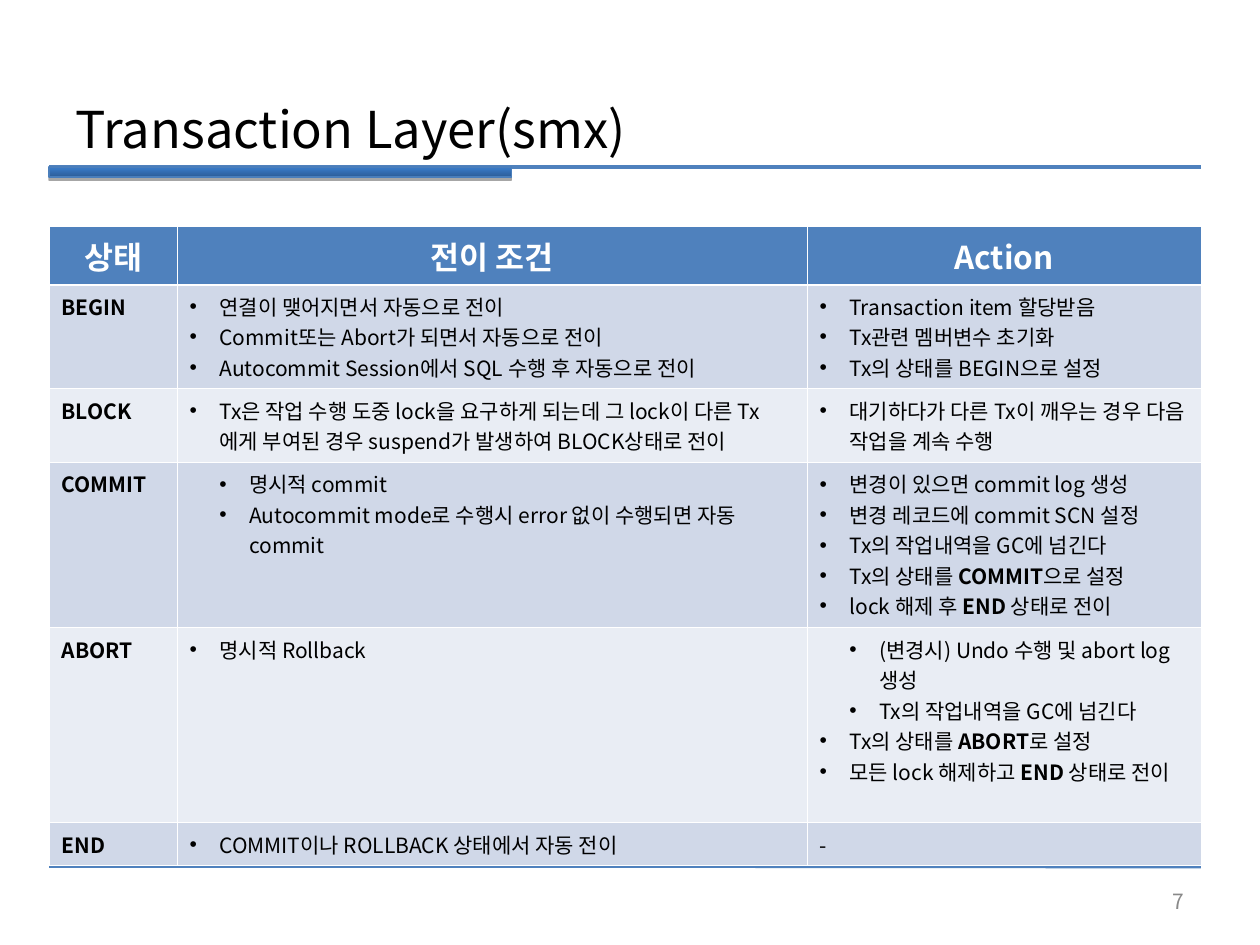
from collections import namedtuple
from dataclasses import dataclass

from lxml import etree
from pptx import Presentation
from pptx import util as u
from pptx.dml.color import RGBColor
from pptx.enum import shapes, text
from pptx.oxml import ns

Box = namedtuple("Box", "left top width height")  # centimetres


@dataclass(frozen=True)
class Theme:
    font: str = "Noto Sans CJK KR"
    accent: str = "4F81BD"
    bar_dark: str = "2C5D98"
    bar_light: str = "3A7CCB"
    bar_edge: str = "4A7EBB"
    band_dark: str = "D0D8E8"
    band_light: str = "E9EDF4"
    ink: str = "000000"
    paper: str = "FFFFFF"
    muted: str = "898989"
    title_size: float = 29
    header_size: float = 18
    body_size: float = 12


THEME = Theme()
INDENT = 0.6  # hanging indent of one bullet level
COLUMNS = (2.58, 12.7, 7.94)
ROWS = (1.17, 2.09, 1.49, 3.33, 3.93, 0.87)
HEADERS = ("상태", "전이 조건", "Action")
# "> " opens a second-level bullet, "**" switches bold on and off
STATES = (
    ("**BEGIN**",
     ("연결이 맺어지면서 자동으로 전이",
      "Commit또는 Abort가 되면서 자동으로 전이",
      "Autocommit Session에서 SQL 수행 후 자동으로 전이"),
     ("Transaction item 할당받음", "Tx관련 멤버변수 초기화", "Tx의 상태를 BEGIN으로 설정")),
    ("**BLOCK**",
     ("Tx은 작업 수행 도중 lock을 요구하게 되는데 그 lock이 다른 "
      "Tx에게 부여된 경우 suspend가 발생하여 BLOCK상태로 전이",),
     ("대기하다가 다른 Tx이 깨우는 경우 다음 작업을 계속 수행",)),
    ("**COMMIT**",
     ("> 명시적 commit",
      "> Autocommit mode로 수행시 error 없이 수행되면 자동 commit"),
     ("변경이 있으면 commit log 생성", "변경 레코드에 commit SCN 설정",
      "Tx의 작업내역을 GC에 넘긴다", "Tx의 상태를 **COMMIT**으로 설정",
      "lock 해제 후 **END **상태로 전이")),
    ("**ABORT**",
     ("명시적 Rollback",),
     ("> (변경시) Undo 수행 및 abort log 생성", "> Tx의 작업내역을 GC에 넘긴다",
      "Tx의 상태를 **ABORT**로 설정", "모든 lock 해제하고 **END **상태로 전이")),
    ("**END**", ("COMMIT이나 ROLLBACK 상태에서 자동 전이",), "-"),
)


def rgb(value):
    return RGBColor.from_string(value)


def add_xml(parent, tag, **attributes):
    return etree.SubElement(parent, ns.qn(tag), attributes)


def place(shape, box):
    shape.left, shape.top, shape.width, shape.height = map(u.Cm, box)


def format_span(span, size, color, bold=False):
    span.font.size, span.font.bold = u.Pt(size), bold
    span.font.color.rgb = rgb(color)
    span.font.name = THEME.font
    add_xml(span.font._element, "a:ea", typeface=THEME.font)


def write(para, marked, size, color):
    """Fill a paragraph, with every second piece between ** marks in bold."""
    for index, piece in enumerate(marked.split("**")):
        if piece:
            span = para.add_run()
            span.text = piece
            format_span(span, size, color, bold=index % 2 == 1)


def add_bullet(para, level):
    props = para._p.get_or_add_pPr()
    props.set("marL", str(u.Cm(INDENT * (level + 1))))
    props.set("indent", str(-u.Cm(INDENT)))
    add_xml(add_xml(props, "a:buClr"), "a:srgbClr", val=THEME.ink)
    add_xml(props, "a:buFont", typeface="Arial")
    add_xml(props, "a:buChar", char="•")
    para.level = level


def add_rule(page, start, end):
    rule = page.shapes.add_connector(
        shapes.MSO_CONNECTOR.STRAIGHT, *map(u.Cm, start + end))
    rule.line.color.rgb = rgb(THEME.accent)
    rule.line.width = u.Pt(2)
    add_xml(rule._element.spPr, "a:effectLst")


def add_frame(page, box):
    """Rules above and below the content, with a short bar at the upper one."""
    right, bottom = box.left + box.width, box.top + box.height
    add_rule(page, (box.left, bottom), (right, bottom))
    add_rule(page, (box.left, box.top), (right, box.top))

    bar = page.shapes.add_shape(
        shapes.MSO_SHAPE.RECTANGLE,
        *map(u.Cm, (box.left, box.top, 9.32, 0.2)))
    bar.fill.gradient()
    bar.fill.gradient_angle = 90
    for stop, color in zip(bar.fill.gradient_stops, (THEME.bar_dark, THEME.bar_light)):
        stop.color.rgb = rgb(color)
    bar.line.color.rgb = rgb(THEME.bar_edge)
    bar.line.width = u.Pt(0.75)
    effects = add_xml(bar._element.spPr, "a:effectLst")
    shadow = add_xml(effects, "a:outerShdw", blurRad="0", dist=str(u.Pt(1.8)),
                     dir="5400000", rotWithShape="0")
    add_xml(add_xml(shadow, "a:srgbClr", val="000000"), "a:alpha", val="35000")

    add_rule(page, (box.left, bottom - 0.02), (right, bottom))


def add_title(page, box, wording):
    title = page.shapes.title
    place(title, box)
    frame = title.text_frame
    frame.vertical_anchor = text.MSO_ANCHOR.MIDDLE
    frame.text = wording
    para = frame.paragraphs[0]
    para.alignment = text.PP_ALIGN.LEFT
    format_span(para.runs[0], THEME.title_size, THEME.ink)


def add_page_number(page, box, number):
    frame = page.shapes.add_textbox(*map(u.Cm, box)).text_frame
    frame.word_wrap = True
    frame.vertical_anchor = text.MSO_ANCHOR.MIDDLE
    frame.paragraphs[0].alignment = text.PP_ALIGN.RIGHT
    write(frame.paragraphs[0], number, THEME.body_size, THEME.muted)


def style_cell(cell, fill, top=0.45, bottom=0.45):
    props = cell._tc.get_or_add_tcPr()
    for side, width in (("L", 0.45), ("R", 0.45), ("T", top), ("B", bottom)):
        edge = add_xml(props, f"a:ln{side}", w=str(u.Pt(width)))
        add_xml(add_xml(edge, "a:solidFill"), "a:srgbClr", val=THEME.paper)
    cell.fill.solid()
    cell.fill.fore_color.rgb = rgb(fill)


def fill_cell(cell, content):
    """A plain string is one line; a tuple is a bulleted list."""
    bulleted = isinstance(content, tuple)
    frame = cell.text_frame
    for index, line in enumerate(content if bulleted else (content,)):
        para = frame.add_paragraph() if index else frame.paragraphs[0]
        if bulleted:
            add_bullet(para, int(line.startswith("> ")))
        write(para, line.removeprefix("> "), THEME.body_size, THEME.ink)


def add_state_table(page, box):
    table = page.shapes.add_table(
        len(ROWS), len(COLUMNS), *map(u.Cm, box)).table
    table.horz_banding = False
    for column, width in zip(table.columns, COLUMNS):
        column.width = u.Cm(width)
    for row, height in zip(table.rows, ROWS):
        row.height = u.Cm(height)

    # Header row
    for cell, label in zip(table.rows[0].cells, HEADERS):
        style_cell(cell, THEME.accent, bottom=1.47)
        para = cell.text_frame.paragraphs[0]
        para.alignment = text.PP_ALIGN.CENTER
        write(para, f"**{label}**", THEME.header_size, THEME.paper)

    # One banded row for each state
    for index, state in enumerate(STATES):
        fill = THEME.band_light if index % 2 else THEME.band_dark
        for cell, content in zip(table.rows[index + 1].cells, state):
            style_cell(cell, fill, top=0.45 if index else 1.47)
            fill_cell(cell, content)


def main():
    deck = Presentation()
    deck.slide_width, deck.slide_height = u.Cm(25.4), u.Cm(19.05)
    page = deck.slides.add_slide(deck.slide_layouts.get_by_name("Title Only"))
    add_frame(page, Box(0.99, 3.37, 23.22, 14.1))
    add_title(page, Box(1.27, 1.79, 22.86, 1.57), "Transaction Layer(smx)")
    add_page_number(page, Box(18.2, 17.65, 5.93, 1.02), "7")
    add_state_table(page, Box(0.99, 4.57, sum(COLUMNS), sum(ROWS)))
    deck.save("out.pptx")


if __name__ == "__main__":
    main()
